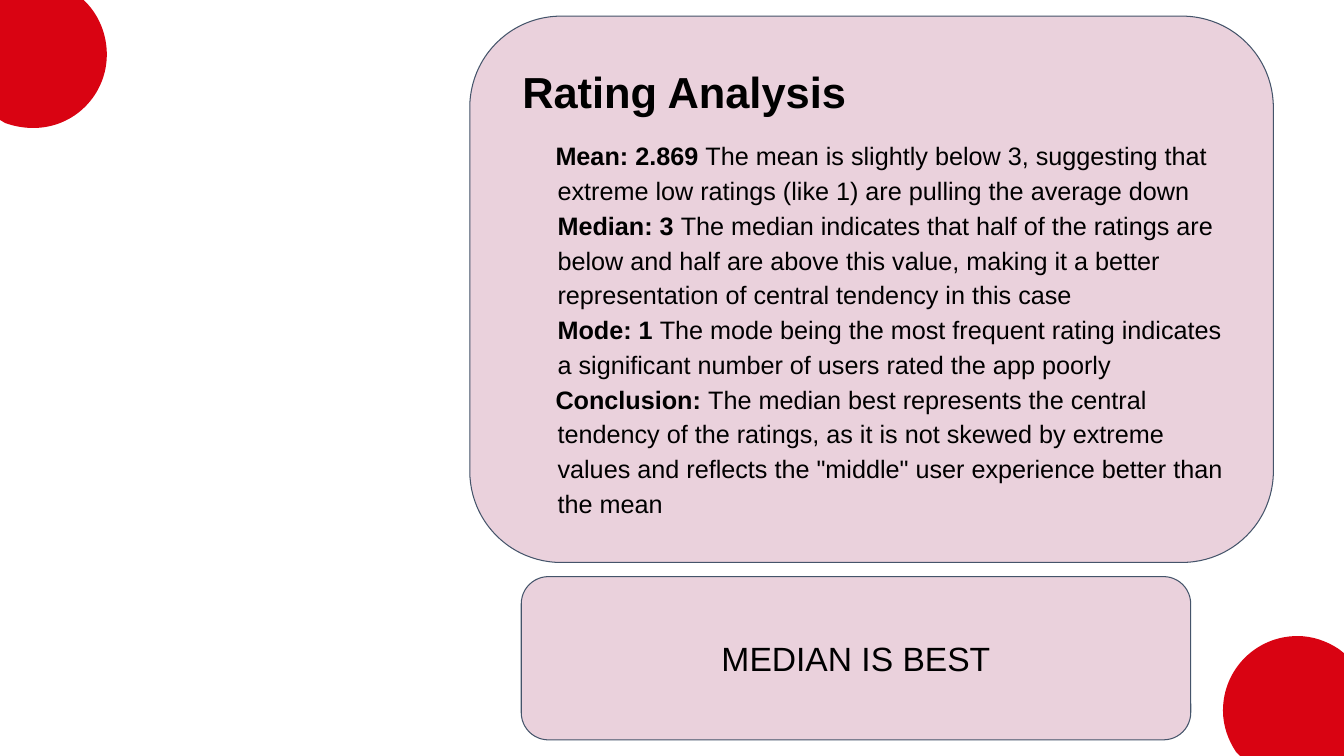
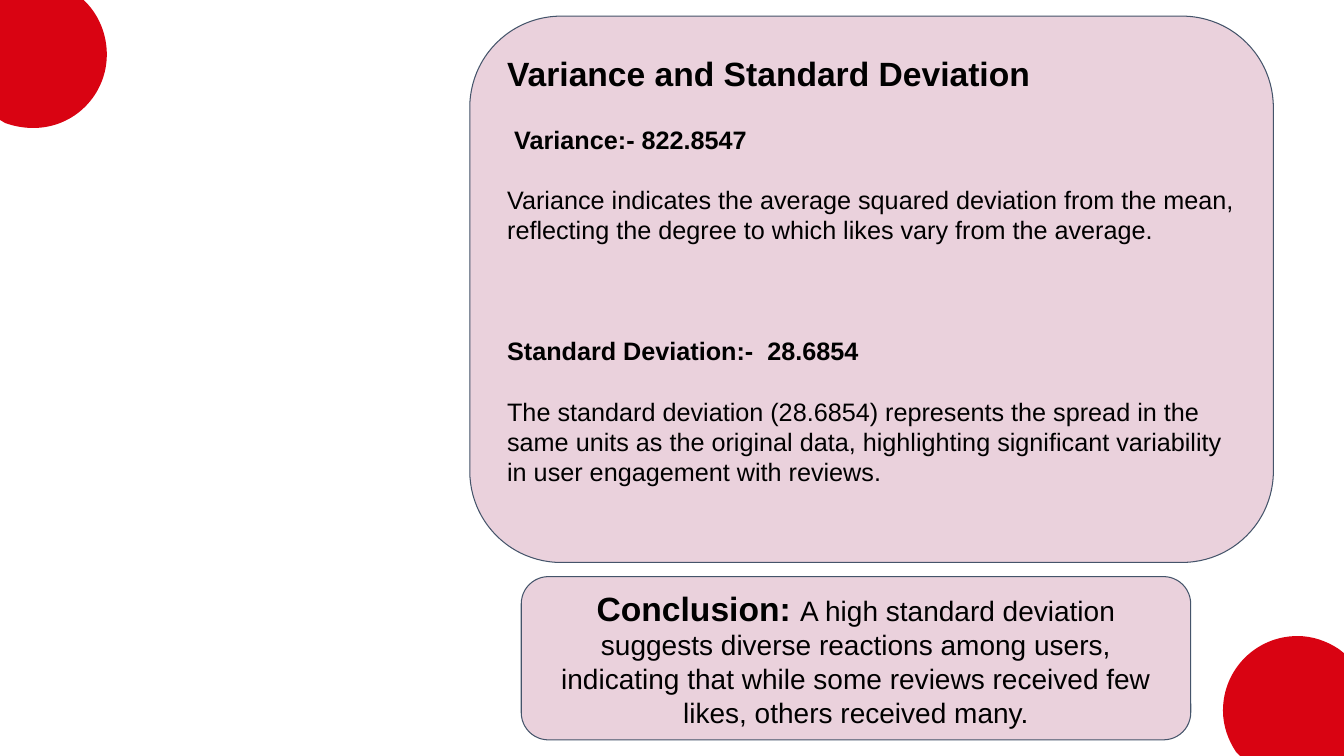
from dataclasses import dataclass

from pptx import Presentation
from pptx.dml.color import RGBColor
from pptx.enum.shapes import MSO_SHAPE
from pptx.enum.text import MSO_ANCHOR as ANCHOR, MSO_AUTO_SIZE as AUTO_SIZE, PP_ALIGN as ALIGN
from pptx.oxml.ns import qn
from pptx.slide import Slide, SlideLayout
from pptx.text.text import TextFrame, _Paragraph as Paragraph
from pptx.util import Inches, Pt

Point = tuple[float, float]

WIDTH, HEIGHT = 13.33, 7.5
FONT = "Arial"
COLORS = {"accent": "D90312", "panel": "EAD1DC", "outline": "44546A", "text": "000000"}
TEXT_RIGHT = 12.27
BLANK_LINE = 21.57  # height in points of one 18 pt line


@dataclass(frozen=True)
class Box:
    left: float
    top: float
    width: float
    height: float


@dataclass(frozen=True)
class Outline:
    """A closed outline; a step of one point is a line, one of three points a curve."""
    start: Point
    steps: tuple[tuple[Point, ...], ...]


@dataclass(frozen=True)
class Run:
    text: str
    size: float = 18
    bold: bool = False


@dataclass(frozen=True)
class Para:
    runs: tuple[Run, ...]
    before: float = 0
    margin: float = 0
    first_line: float = 0


@dataclass(frozen=True)
class Page:
    title: Run
    title_at: Point
    body: tuple[Para, ...]
    body_at: Point
    line_spacing: float
    conclusion: Para


MAIN_PANEL = Box(4.66, 0.16, 7.97, 5.42)
CONCLUSION_PANEL = Box(5.17, 5.72, 6.64, 1.62)
CORNER_CIRCLES = (
    Outline((0, 0), (
        ((0.83, 0),),
        ((0.85, 0.02),),
        ((0.98, 0.15), (1.06, 0.34), (1.06, 0.54)),
        ((1.06, 0.94), (0.74, 1.27), (0.33, 1.27)),
        ((0.23, 1.27), (0.13, 1.25), (0.05, 1.22)),
        ((0, 1.19),),
    )),
    Outline((12.87, 6.31), (
        ((13.02, 6.31), (13.16, 6.36), (13.28, 6.44)),
        ((WIDTH, 6.48),),
        ((WIDTH, HEIGHT),),
        ((12.3, HEIGHT),),
        ((12.26, 7.46),),
        ((12.18, 7.34), (12.13, 7.2), (12.13, 7.05)),
        ((12.13, 6.64), (12.46, 6.31), (12.87, 6.31)),
    )),
)


def labelled(label: str, text: str, first_line: float = 0) -> Para:
    return Para((Run(label + " ", bold=True), Run(text)), margin=0.02, first_line=first_line)


PAGES = (
    Page(
        title=Run("Rating Analysis", 31, True),
        title_at=(5.18, 0.65),
        body=(
            labelled("Mean: 2.869", "The mean is slightly below 3, suggesting that extreme low "
                     "ratings (like 1) are pulling the average down", -0.02),
            labelled("Median: 3", "The median indicates that half of the ratings are below and "
                     "half are above this value, making it a better representation of central "
                     "tendency in this case"),
            labelled("Mode: 1", "The mode being the most frequent rating indicates a "
                     "significant number of users rated the app poorly"),
            labelled("Conclusion:", "The median best represents the central tendency of the "
                     "ratings, as it is not skewed by extreme values and reflects the "
                     "\"middle\" user experience better than the mean", -0.02),
        ),
        body_at=(5.51, 1.35),
        line_spacing=1.15,
        conclusion=Para((Run("MEDIAN IS BEST", 24),)),
    ),
    Page(
        title=Run("Variance and Standard Deviation", 24, True),
        title_at=(5.03, 0.52),
        body=(
            Para((Run("Variance:- 822.8547", bold=True),), margin=0.07),
            Para((Run("Variance indicates the average squared deviation from the mean, "
                      "reflecting the degree to which likes vary from the average."),),
                 before=BLANK_LINE),
            Para((Run("Standard Deviation:-  28.6854", bold=True),), before=3 * BLANK_LINE),
            Para((Run("The standard deviation (28.6854) represents the spread in the same "
                      "units as the original data, highlighting significant variability in "
                      "user engagement with reviews."),), before=BLANK_LINE),
        ),
        body_at=(5.03, 1.23),
        line_spacing=1,
        conclusion=Para((
            Run("Conclusion: ", 24, True),
            Run("A high standard deviation suggests diverse reactions among users, "
                "indicating that while some reviews received few likes, others received "
                "many.", 20),
        )),
    ),
)


def rgb(name: str) -> RGBColor:
    return RGBColor.from_string(COLORS[name])


def place(sp, box: Box) -> None:
    sp.left, sp.top = Inches(box.left), Inches(box.top)
    sp.width, sp.height = Inches(box.width), Inches(box.height)


def set_frame(tf: TextFrame, margin: float, anchor: ANCHOR) -> None:
    tf.word_wrap = True
    tf.auto_size = AUTO_SIZE.NONE
    tf.vertical_anchor = anchor
    tf.margin_left = tf.margin_right = tf.margin_top = tf.margin_bottom = Inches(margin)


def add_runs(p: Paragraph, runs: tuple[Run, ...], align: ALIGN) -> None:
    p.alignment = align
    for run in runs:
        r = p.add_run()
        r.text = run.text
        r.font.name, r.font.size, r.font.bold = FONT, Pt(run.size), run.bold
        r.font.color.rgb = rgb("text")


def fill_shape(sp, color: str) -> None:
    sp.shadow.inherit = False
    sp.fill.solid()
    sp.fill.fore_color.rgb = rgb(color)


def add_panel(slide: Slide, box: Box):
    sp = slide.shapes.add_shape(MSO_SHAPE.ROUNDED_RECTANGLE, 0, 0, 0, 0)
    place(sp, box)
    sp.adjustments[0] = 0.167
    fill_shape(sp, "panel")
    sp.line.color.rgb = rgb("outline")
    sp.line.width = Pt(0.75)
    return sp


def add_outline(slide: Slide, outline: Outline):
    """Build the outline from lines, then join each curve's three lines into one curve."""
    points = [(Inches(x), Inches(y)) for step in outline.steps for x, y in step]
    builder = slide.shapes.build_freeform(*(Inches(v) for v in outline.start))
    builder.add_line_segments(points, close=True)
    sp = builder.convert_to_shape()
    lines = iter(list(sp.element.iter(qn("a:lnTo"))))
    for step in outline.steps:
        parts = [next(lines) for _ in step]
        if len(parts) == 3:
            curve = parts[0].makeelement(qn("a:cubicBezTo"), {})
            parts[0].addprevious(curve)
            for line in parts:
                curve.append(line[0])
                line.getparent().remove(line)
    fill_shape(sp, "accent")
    sp.line.fill.background()
    return sp


def decorate_layout(layout: SlideLayout, slide: Slide) -> None:
    """Draw the shared shapes on a slide, then move them to its layout."""
    for ph in list(layout.placeholders)[2:]:
        ph.element.getparent().remove(ph.element)
    shared = [add_outline(slide, outline) for outline in CORNER_CIRCLES]
    shared.append(add_panel(slide, MAIN_PANEL))
    for sp in shared:
        layout.shapes.element.append(sp.element)


def fill_title(slide: Slide, page: Page) -> None:
    sp = slide.shapes.title
    left, top = page.title_at
    place(sp, Box(left, top, TEXT_RIGHT - left, 0.6))
    set_frame(sp.text_frame, 0, ANCHOR.TOP)
    add_runs(sp.text_frame.paragraphs[0], (page.title,), ALIGN.LEFT)


def fill_body(slide: Slide, page: Page) -> None:
    sp = slide.placeholders[1]
    left, top = page.body_at
    place(sp, Box(left, top, TEXT_RIGHT - left, 5.3 - top))
    tf = sp.text_frame
    set_frame(tf, 0, ANCHOR.TOP)
    for i, para in enumerate(page.body):
        p = tf.add_paragraph() if i else tf.paragraphs[0]
        add_runs(p, para.runs, ALIGN.LEFT)
        p.line_spacing = page.line_spacing
        p.space_before = Pt(para.before)
        pPr = p._p.get_or_add_pPr()
        pPr.set("marL", str(Inches(para.margin)))
        pPr.set("indent", str(Inches(para.first_line)))
        pPr.append(pPr.makeelement(qn("a:buNone"), {}))


def add_conclusion(slide: Slide, para: Para) -> None:
    tf = add_panel(slide, CONCLUSION_PANEL).text_frame
    set_frame(tf, 0.1, ANCHOR.MIDDLE)
    add_runs(tf.paragraphs[0], para.runs, ALIGN.CENTER)


def main() -> None:
    prs = Presentation()
    prs.slide_width, prs.slide_height = Inches(WIDTH), Inches(HEIGHT)
    layout = prs.slide_layouts[1]
    slides = [prs.slides.add_slide(layout) for _ in PAGES]
    decorate_layout(layout, slides[0])
    for slide, page in zip(slides, PAGES):
        fill_title(slide, page)
        fill_body(slide, page)
        add_conclusion(slide, page.conclusion)
    prs.save("out.pptx")


if __name__ == "__main__":
    main()
